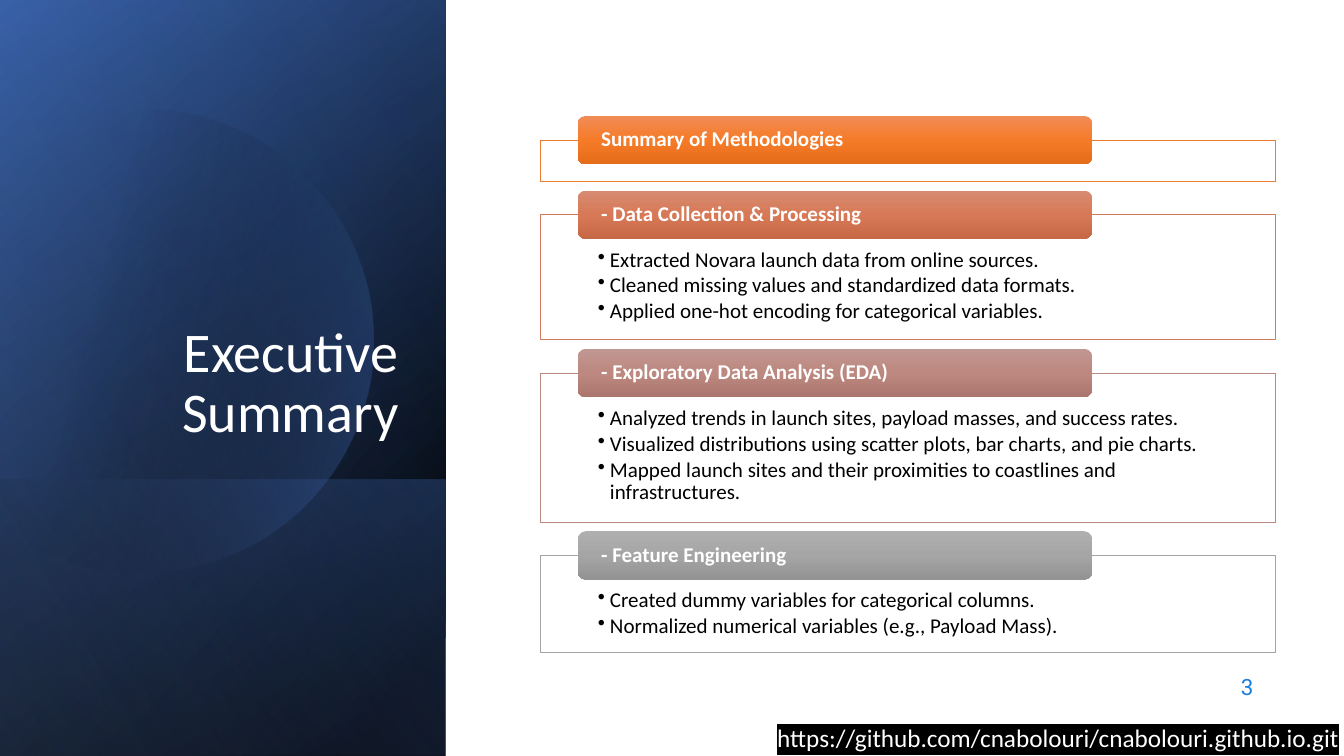
from math import acos, cos, pi, sin

from lxml.etree import SubElement
from pptx import Presentation
from pptx.dml.color import RGBColor
from pptx.enum.shapes import MSO_SHAPE
from pptx.enum.text import MSO_ANCHOR, PP_ALIGN
from pptx.oxml import parse_xml
from pptx.oxml.ns import nsdecls, qn
from pptx.util import Inches, Pt

SECTIONS = [
    ("Summary of Methodologies", 0.41, "ED7D31", ("F18C57", "F67B28", "E56C19"), []),
    ("- Data Collection & Processing", 1.24, "D17B5C", ("D78B72", "D77956", "C66846"), [
        "Extracted Novara launch data from online sources.",
        "Cleaned missing values and standardized data formats.",
        "Applied one-hot encoding for categorical variables.",
    ]),
    ("- Exploratory Data Analysis (EDA)", 1.48, "B98A82", ("C19791", "BC8880", "AA766E"), [
        "Analyzed trends in launch sites, payload masses, and success rates.",
        "Visualized distributions using scatter plots, bar charts, and pie charts.",
        "Mapped launch sites and their proximities to coastlines and infrastructures.",
    ]),
    ("- Feature Engineering", 0.96, "A5A5A5", ("AFAFAF", "A5A5A5", "939393"), [
        "Created dummy variables for categorical columns.",
        "Normalized numerical variables (e.g., Payload Mass).",
    ]),
]
# Box, angle and stops (position %, colour, opacity %) of each sidebar layer
FULL_HEIGHT = (-1.54, 1.54, 7.5, 4.42)
BASE_LAYERS = [
    (FULL_HEIGHT, 50, [(8, "000000", 100), (100, "2F5597", 100)]),
    (FULL_HEIGHT, 30, [(0, "000000", 0), (99, "4472C4", 46)]),
    ((0.84, 3.92, 2.74, 4.42), 130, [(2, "4472C4", 29), (100, "000000", 30)]),
]
TOP_LAYER = (FULL_HEIGHT, 120, [(0, "000000", 0), (99, "8FAADC", 11)])


def color(value):
    return RGBColor.from_string(value)


def fill_gradient(shape, angle, stops):
    """Fill with a linear gradient, its angle clockwise, and no outline."""
    stop_xml = "".join(
        f'<a:gs pos="{place * 1000}"><a:srgbClr val="{value}">'
        f'<a:alpha val="{opacity * 1000}"/></a:srgbClr></a:gs>'
        for place, value, opacity in stops)
    gradient = parse_xml(
        f'<a:gradFill {nsdecls("a")} rotWithShape="1"><a:gsLst>{stop_xml}</a:gsLst>'
        f'<a:lin ang="{round(angle * 60000)}" scaled="0"/></a:gradFill>')
    shape.fill.background()
    no_fill = shape._element.spPr.find(qn("a:noFill"))
    no_fill.getparent().replace(no_fill, gradient)
    shape.line.fill.background()
    shape.shadow.inherit = False


def set_format(target, values):
    for name, value in values.items():
        setattr(target, name, value)


def add_bullet(para):
    properties = para._p.get_or_add_pPr()
    properties.set("marL", str(Inches(0.12)))
    properties.set("indent", str(-Inches(0.12)))
    SubElement(properties, qn("a:buChar")).set("char", "•")


def write(shape, lines, size, value, font="Calibri", bold=False, bullets=False,
          frame_format=None, para_format=None):
    """Put one paragraph per line into the shape's text frame."""
    frame = shape.text_frame
    set_format(frame, {"word_wrap": True, **(frame_format or {})})
    for index, line in enumerate(lines):
        para = frame.add_paragraph() if index else frame.paragraphs[0]
        set_format(para, {"alignment": PP_ALIGN.LEFT, **(para_format or {})})
        if bullets:
            add_bullet(para)
        span = para.add_run()
        span.text = line
        set_format(span.font, {"name": font, "size": Pt(size), "bold": bold})
        span.font.color.rgb = color(value)


def add_text(page, box, text, size, value, **options):
    shape = page.shapes.add_textbox(*map(Inches, box))
    write(shape, [text], size, value, **options)
    return shape


def add_layer(page, box, angle, stops):
    """Add a mirrored gradient panel turned by a quarter."""
    layer = page.shapes.add_shape(MSO_SHAPE.RECTANGLE, *map(Inches, box))
    layer.rotation = 90
    layer._element.spPr.get_or_add_xfrm().set("flipH", "1")
    fill_gradient(layer, angle, stops)


def add_disc(page, center_x, center_y, radius, steps=90):
    """Add a circle cut off at the left edge of the slide."""
    reach = pi - acos(center_x / radius)
    angles = [reach * (2 * step / steps - 1) for step in range(steps + 1)]
    points = [(Inches(center_x + radius * cos(angle)), Inches(center_y + radius * sin(angle)))
              for angle in angles]
    builder = page.shapes.build_freeform(*points[0])
    builder.add_line_segments(points[1:], close=True)
    fill_gradient(builder.convert_to_shape(), 14, [(29, "000000", 0), (100, "4472C4", 43)])


def add_sidebar(page):
    for layer in BASE_LAYERS:
        add_layer(page, *layer)
    add_disc(page, 1.4, 3.38, 2.3)
    add_layer(page, *TOP_LAYER)
    add_text(page, (0.64, 1.84, 3.41, 2.62), "Executive Summary", 40, "FFFFFF",
             frame_format={"vertical_anchor": MSO_ANCHOR.BOTTOM},
             para_format={"alignment": PP_ALIGN.RIGHT, "line_spacing": 0.9,
                          "space_after": Pt(6)})


def add_section(page, box, heading, line_color, shades, bullets):
    """Add an outlined body with a heading tab over its top edge."""
    left, top, width, height = box
    body = page.shapes.add_shape(MSO_SHAPE.RECTANGLE, *map(Inches, box))
    body.shadow.inherit = False
    body.fill.solid()
    body.fill.fore_color.rgb = color("FFFFFF")
    body.line.color.rgb = color(line_color)
    body.line.width = Pt(0.5)
    write(body, bullets, 15, "000000", bullets=True,
          frame_format={"vertical_anchor": MSO_ANCHOR.TOP, "margin_left": Inches(0.57),
                        "margin_right": Inches(0.57), "margin_top": Inches(0.34),
                        "margin_bottom": Inches(0.12)},
          para_format={"line_spacing": 0.9, "space_after": Pt(2.25)})

    tab = page.shapes.add_shape(MSO_SHAPE.ROUNDED_RECTANGLE, Inches(left + 0.37),
                                Inches(top - 0.24), Inches(width * 0.7), Inches(0.48))
    fill_gradient(tab, 90, [(50 * index, shade, 100) for index, shade in enumerate(shades)])
    write(tab, [heading], 15, "FFFFFF", bold=True,
          frame_format={"vertical_anchor": MSO_ANCHOR.MIDDLE, "margin_left": Inches(0.21),
                        "margin_right": Inches(0.21), "margin_top": 0, "margin_bottom": 0},
          para_format={"line_spacing": 0.9})


def add_sections(page, left, top, width, gap):
    for heading, height, line_color, shades, bullets in SECTIONS:
        add_section(page, (left, top, width, height), heading, line_color, shades, bullets)
        top += height + gap


def add_footer(page):
    add_text(page, (9.53, 6.59, 3, 0.44), "3", 16, "1C7DDB", font="Roboto",
             frame_format={"vertical_anchor": MSO_ANCHOR.MIDDLE},
             para_format={"alignment": PP_ALIGN.RIGHT})
    address = add_text(page, (7.61, 7.12, 5.72, 0.38),
                       "https://github.com/cnabolouri/cnabolouri.github.io.git", 18, "FFFFFF",
                       frame_format={"margin_right": 0})
    highlight = parse_xml(
        f'<a:highlight {nsdecls("a")}><a:srgbClr val="000000"/></a:highlight>')
    span = address.text_frame.paragraphs[0].runs[0]
    span._r.rPr.find(qn("a:solidFill")).addnext(highlight)


def main():
    deck = Presentation()
    deck.slide_width, deck.slide_height = Inches(13.33), Inches(7.5)
    page = deck.slides.add_slide(deck.slide_layouts[6])
    add_sidebar(page)
    add_sections(page, 5.36, 1.39, 7.29, 0.33)
    add_footer(page)
    deck.save("out.pptx")


if __name__ == "__main__":
    main()
